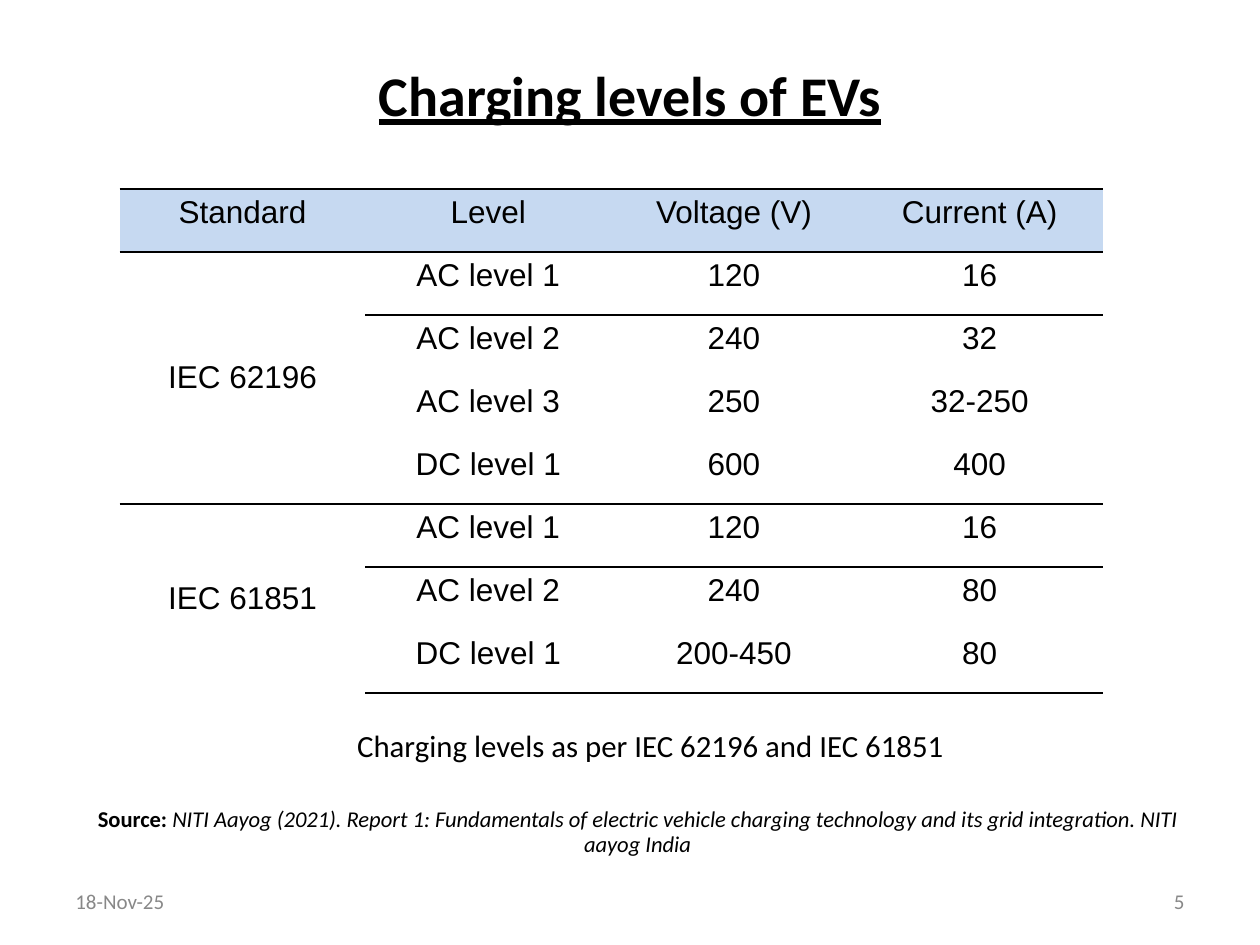
from lxml import etree
from pptx import Presentation
from pptx import util as u
from pptx.dml.color import RGBColor
from pptx.enum import text
from pptx.oxml.ns import qn

COLORS = {"ink": "000000", "header": "C6D9F1", "muted": "888888"}
WIDTH, HEIGHT = 10, 7.5
MARGIN = WIDTH / 20
CONTENT = WIDTH - 2 * MARGIN
FOOTER_WIDTH = 2.33
ROW_HEIGHT, COLUMN_WIDTH = 0.5, 1.95
TABLE_LEFT, TABLE_TOP = 0.95, 1.5
ALIGN, ANCHOR = text.PP_ALIGN, text.MSO_ANCHOR

HEADER = ["Standard", "Level", "Voltage (V)", "Current (A)"]
STANDARDS = {
    "IEC 62196": [
        ("AC level 1", "120", "16"),
        ("AC level 2", "240", "32"),
        ("AC level 3", "250", "32-250"),
        ("DC level 1", "600", "400"),
    ],
    "IEC 61851": [
        ("AC level 1", "120", "16"),
        ("AC level 2", "240", "80"),
        ("DC level 1", "200-450", "80"),
    ],
}
TITLE = [("Charging levels of EVs", {"size": u.Pt(32), "bold": True, "underline": True})]
CAPTION = [("Charging levels as per IEC 62196 and IEC 61851", {"size": u.Pt(17.6)})]
SOURCE = [
    ("Source: ", {"size": u.Pt(12.9), "bold": True}),
    ("NITI Aayog (2021). Report 1: Fundamentals of electric vehicle charging technology "
     "and its grid integration. NITI aayog India", {"size": u.Pt(12.9), "italic": True}),
]
FOOTER = {"size": u.Pt(12)}
BODY_FORMAT = {"alignment": ALIGN.CENTER, "line_spacing": 0.9}
BOXES = [
    ((MARGIN, 0.12, CONTENT, 1.25), ANCHOR.MIDDLE, "ink",
     [(TITLE, {"alignment": ALIGN.CENTER}, 0)]),
    ((MARGIN, 5.75, CONTENT, 1.19), ANCHOR.TOP, "ink",
     [(CAPTION, BODY_FORMAT, 0.33),
      (SOURCE, {**BODY_FORMAT, "space_before": u.Pt(25.4)}, 0.12)]),
    ((MARGIN, 6.95, FOOTER_WIDTH, 0.4), ANCHOR.MIDDLE, "muted",
     [([("18-Nov-25", FOOTER)], {"alignment": ALIGN.LEFT}, 0)]),
    ((WIDTH - MARGIN - FOOTER_WIDTH, 6.95, FOOTER_WIDTH, 0.4), ANCHOR.MIDDLE, "muted",
     [([("5", FOOTER)], {"alignment": ALIGN.RIGHT}, 0)]),
]


def apply(target, values):
    for name, value in values.items():
        setattr(target, name, value)


def write(paragraph, runs, color, font_name):
    for words, values in runs:
        run = paragraph.add_run()
        run.text = words
        apply(run.font, {"name": font_name, **values})
        run.font.color.rgb = RGBColor.from_string(COLORS[color])


def add_box(slide, place, anchor, color, paragraphs):
    frame = slide.shapes.add_textbox(*map(u.Inches, place)).text_frame
    apply(frame, {"word_wrap": True, "vertical_anchor": anchor})
    for index, (runs, values, indent) in enumerate(paragraphs):
        paragraph = frame.add_paragraph() if index else frame.paragraphs[0]
        if indent:
            paragraph._p.get_or_add_pPr().set("marL", str(u.Inches(indent)))
        apply(paragraph, values)
        write(paragraph, runs, color, "Calibri")


def set_borders(cell, visible):
    properties = cell._tc.get_or_add_tcPr()
    for side in "LRTB":
        line = etree.SubElement(properties, qn(f"a:ln{side}"), w=str(u.Pt(1)))
        if side in visible:
            fill = etree.SubElement(line, qn("a:solidFill"))
            etree.SubElement(fill, qn("a:srgbClr"), val=COLORS["ink"])
        else:
            etree.SubElement(line, qn("a:noFill"))


def add_levels_table(slide):
    rows = [HEADER]
    full_lines, partial_lines, merges = {0, 1}, set(), []
    for standard, levels in STANDARDS.items():
        first = len(rows)
        rows += [(standard if index == 0 else "", *level) for index, level in enumerate(levels)]
        full_lines.add(len(rows))
        partial_lines.add(first + 1)
        merges.append((first, len(rows) - 1))

    place = (TABLE_LEFT, TABLE_TOP, COLUMN_WIDTH * len(HEADER), ROW_HEIGHT * len(rows))
    table = slide.shapes.add_table(len(rows), len(HEADER), *map(u.Inches, place)).table
    apply(table, {"first_row": False, "horz_banding": False})
    for r, row in enumerate(rows):
        for c, words in enumerate(row):
            cell = table.cell(r, c)
            lines = full_lines | partial_lines if c else full_lines
            set_borders(cell, [side for side, edge in (("T", r), ("B", r + 1)) if edge in lines])
            if r == 0:
                cell.fill.solid()
                cell.fill.fore_color.rgb = RGBColor.from_string(COLORS["header"])
            else:
                cell.fill.background()
            cell.vertical_anchor = ANCHOR.MIDDLE if r and c == 0 else ANCHOR.TOP
            paragraph = cell.text_frame.paragraphs[0]
            paragraph.alignment = ALIGN.CENTER
            if words:
                write(paragraph, [(words, {"size": u.Pt(18)})], "ink", "Arial")
    for first, last in merges:
        table.cell(first, 0).merge(table.cell(last, 0))


def main():
    presentation = Presentation()
    apply(presentation, {"slide_width": u.Inches(WIDTH), "slide_height": u.Inches(HEIGHT)})
    slide = presentation.slides.add_slide(presentation.slide_layouts[6])
    for box in BOXES:
        add_box(slide, *box)
    add_levels_table(slide)
    presentation.save("out.pptx")


if __name__ == "__main__":
    main()
